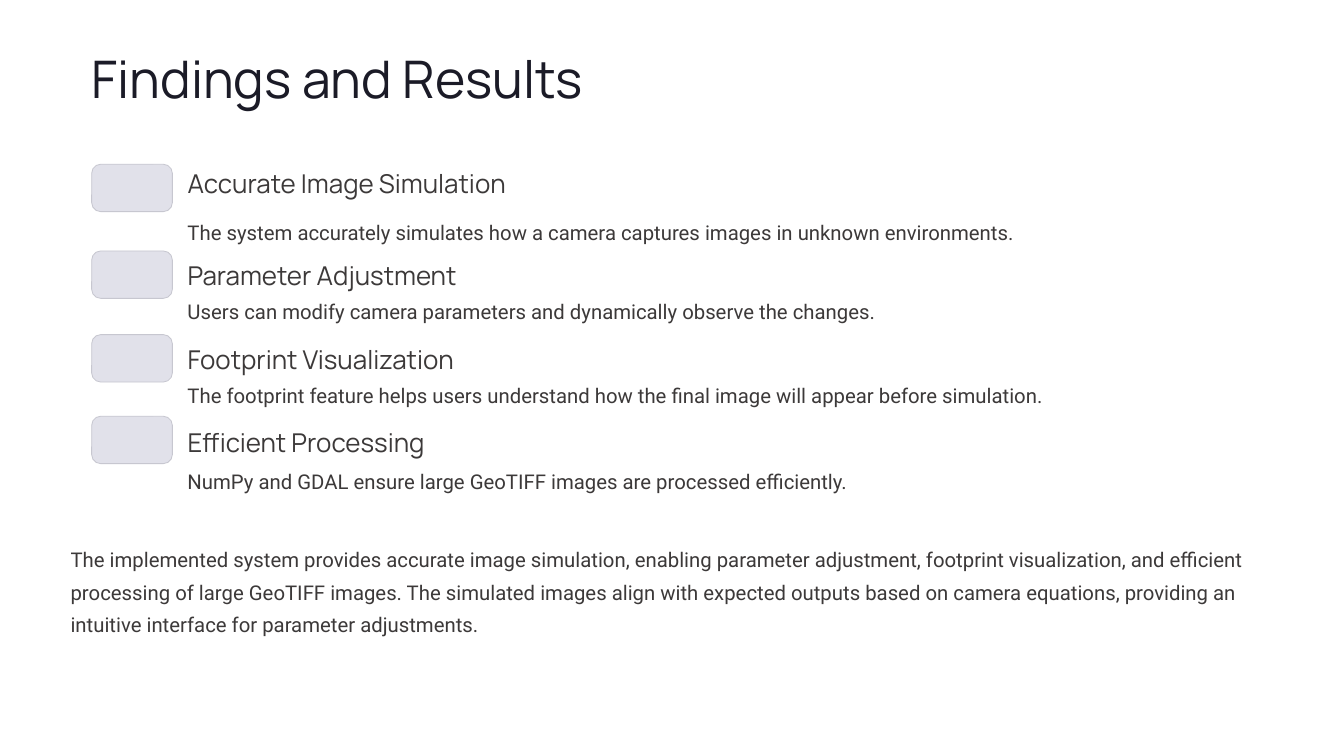
"""Build the Findings and Results slide."""
from lxml.etree import SubElement
from pptx import Presentation
from pptx.dml.color import RGBColor as RGB
from pptx.enum.shapes import MSO_SHAPE as Shape
from pptx.enum.text import MSO_ANCHOR as Anchor, MSO_AUTO_SIZE as Fit, PP_ALIGN as Align
from pptx.oxml.ns import qn
from pptx.util import Inches, Pt

TITLE = "Findings and Results"
ITEMS = [
    ("Accurate Image Simulation",
     "The system accurately simulates how a camera captures images in unknown environments."),
    ("Parameter Adjustment",
     "Users can modify camera parameters and dynamically observe the changes."),
    ("Footprint Visualization",
     "The footprint feature helps users understand how the final image will appear before simulation."),
    ("Efficient Processing",
     "NumPy and GDAL ensure large GeoTIFF images are processed efficiently."),
]
SUMMARY = (
    "The implemented system provides accurate image simulation, enabling parameter adjustment, "
    "footprint visualization, and efficient processing of large GeoTIFF images. The simulated "
    "images align with expected outputs based on camera equations, providing an intuitive "
    "interface for parameter adjustments."
)

INK, GREY = RGB(0x1B, 0x1B, 0x27), RGB(0x3C, 0x39, 0x39)
FILL, EDGE = RGB(0xE1, 0xE1, 0xEA), RGB(0xC7, 0xC7, 0xD0)

WIDE, HIGH = 13.33, 7.5
CHIP_X, TEXT_X = 0.91, 1.86
CHIP_W, CHIP_H = 0.8, 0.47
TEXT_W = WIDE - TEXT_X
ROWS = [(1.63, 1.65, 2.1), (2.49, 2.56, 2.88), (3.32, 3.4, 3.72), (4.13, 4.22, 4.57)]

STYLES = {
    "title": (46.5, {"name": "Manrope", "size": Pt(37)}, INK),
    "head": (23, {"name": "Manrope", "size": Pt(18.5)}, GREY),
    "body": (23.5, {"name": "Roboto", "size": Pt(14.5)}, GREY),
}
FRAME = {"margin_left": 0, "margin_right": 0, "margin_top": 0, "margin_bottom": 0,
         "word_wrap": True, "auto_size": Fit.NONE, "vertical_anchor": Anchor.TOP}


def apply(item, values):
    for name, value in values.items():
        setattr(item, name, value)


def write(box, text, style):
    lead, font, color = STYLES[style]
    frame = box.text_frame
    apply(frame, FRAME)
    frame.text = text
    para = frame.paragraphs[0]
    apply(para, {"line_spacing": Pt(lead), "space_before": Pt(0), "alignment": Align.LEFT})
    props = para._p.get_or_add_pPr()
    props.set("marL", "0")
    props.set("indent", "0")
    SubElement(props, qn("a:buNone"))
    face = para.runs[0].font
    apply(face, font)
    face.color.rgb = color


def place(box, *area):
    apply(box, dict(zip(("left", "top", "width", "height"), map(Inches, area))))


def add_text(slide, text, style, *area):
    write(slide.shapes.add_textbox(*map(Inches, area)), text, style)


def add_chip(slide, top):
    chip = slide.shapes.add_shape(
        Shape.ROUNDED_RECTANGLE, *map(Inches, (CHIP_X, top, CHIP_W, CHIP_H)))
    chip.adjustments[0] = 0.19
    chip.shadow.inherit = False
    chip.fill.solid()
    chip.fill.fore_color.rgb = FILL
    chip.line.color.rgb = EDGE
    chip.line.width = Pt(0.6)


def main():
    deck = Presentation()
    apply(deck, {"slide_width": Inches(WIDE), "slide_height": Inches(HIGH)})
    slide = deck.slides.add_slide(deck.slide_layouts[1])
    title, body = slide.placeholders
    place(title, CHIP_X, 0.43, 8.91, 0.65)
    write(title, TITLE, "title")
    for (head, note), (chip_y, head_y, note_y) in zip(ITEMS, ROWS):
        add_chip(slide, chip_y)
        add_text(slide, head, "head", TEXT_X, head_y, 5.55, 0.32)
        add_text(slide, note, "body", TEXT_X, note_y, TEXT_W, 0.33)
    place(body, 0.7, 5.34, 11.73, 1.33)
    write(body, SUMMARY, "body")
    deck.save("out.pptx")


if __name__ == "__main__":
    main()
